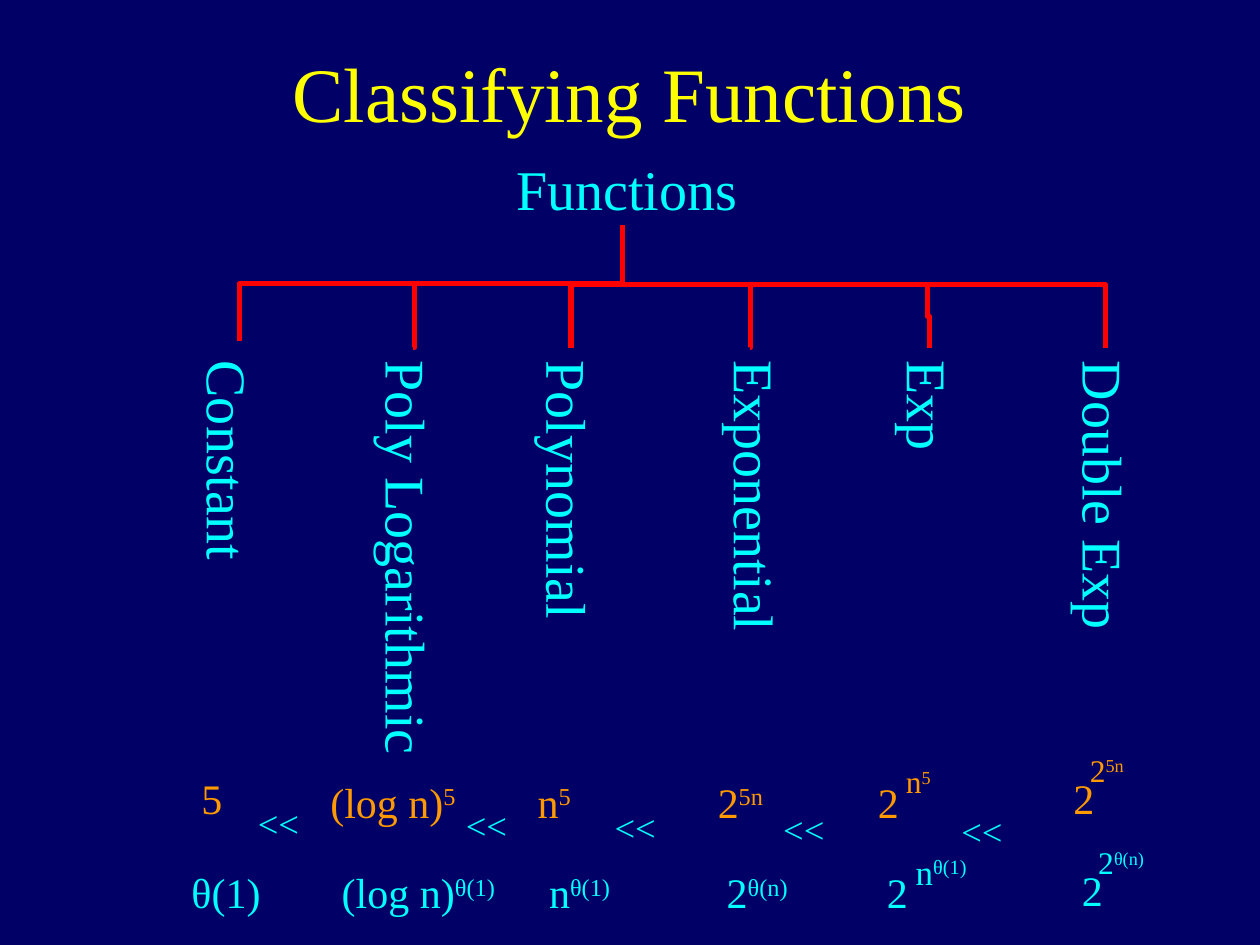
"""Build a slide that sorts functions by their rate of growth."""
from lxml import etree
from pptx import Presentation
from pptx.dml.color import RGBColor
from pptx.enum.shapes import MSO_CONNECTOR
from pptx.enum.text import MSO_ANCHOR, MSO_AUTO_SIZE, PP_ALIGN
from pptx.oxml.ns import qn
from pptx.util import Cm, Pt

ELBOW = MSO_CONNECTOR.ELBOW
MIDDLE = MSO_ANCHOR.MIDDLE
GROW = MSO_AUTO_SIZE.SHAPE_TO_FIT_TEXT
LEFT, CENTER = PP_ALIGN.LEFT, PP_ALIGN.CENTER

NAVY = RGBColor(0x00, 0x00, 0x66)
YELLOW = RGBColor(0xFF, 0xFF, 0x00)
CYAN = RGBColor(0x00, 0xFF, 0xFF)
ORANGE = RGBColor(0xFF, 0x99, 0x00)
RED = RGBColor(0xFF, 0x00, 0x00)

HEIGHTS = {18: 1.02, 20: 1.12, 24: 1.27, 32: 1.63, 36: 1.78}
TOP = 7.02
BAR = 5.74

CLASSES = [
    ("Poly Logarithmic", 8.21, 8.55),
    ("Polynomial", 11.45, 5.8),
    ("Exponential", 15.23, 6.05),
    ("Exp", 18.72, 2.4),
    ("Double Exp", 22.26, 6.05),
    ("Constant", 4.61, 5),
]

LINKS = [
    ((9.86, 9.58), (7.52, 1.85), 90, "bentConnector3"),
    ((11.51, BAR), (22.28, 7.01), 0, "bentConnector2"),
    ((8.33, 7.01), (8.35, BAR), 0, "bentConnector2"),
    ((11.51, 7.01), (11.51, BAR), 180, "bentConnector2"),
    ((15.11, 7.01), (15.13, BAR), 0, "bentConnector2"),
    ((18.08, 6.4), (19.35, 6.35), 270, "bentConnector3"),
]

SAMPLES = [
    ("(log n)", "5", 6.41, 15.52, 3.15, 24),
    ("n", "5", 10.59, 15.52, 1.25, 24),
    ("2", "5n", 14.22, 15.52, 1.5, 24),
    ("5", "", 3.81, 15.44, 1, 24),
    ("2", "", 17.45, 15.52, 1, 24),
    ("n", "5", 18.01, 15.24, 1.1, 18),
    ("2", "5n", 21.72, 15.01, 1.3, 18),
    ("2", "", 21.39, 15.44, 1, 24),
]

BOUNDS = [
    ("(log n)", "θ(1)", 6.64, 17.35, 3.7, 24),
    ("n", "θ(1)", 10.82, 17.35, 1.85, 24),
    ("2", "θ(n)", 14.4, 17.35, 1.85, 24),
    ("θ(1)", "", 3.61, 17.35, 2, 24),
    ("2", "", 17.63, 17.35, 1, 24),
    ("n", "θ(1)", 18.21, 17.02, 1.65, 20),
    ("2", "θ(n)", 21.89, 16.87, 1.55, 18),
    ("2", "", 21.56, 17.3, 1, 24),
]

SIGNS = [4.95, 9.14, 12.14, 15.54, 19.13]


def write(line, text, *, font, size, color, raised=False):
    """Add a run of text to a paragraph."""
    run = line.add_run()
    run.text = text
    run.font.name = font
    run.font.size = Pt(size)
    run.font.color.rgb = color
    if raised:
        run.font._element.set("baseline", "30000")


class Deck:
    """Hold the style and the current slide."""

    def __init__(self, show, font):
        self.font = font
        self.slide = show.slides.add_slide(show.slide_layouts[6])
        fill = self.slide.background.fill
        fill.solid()
        fill.fore_color.rgb = NAVY

    def box(self, left, top, width, height, align=LEFT):
        """Add an empty text box that does not wrap."""
        box = self.slide.shapes.add_textbox(Cm(left), Cm(top), Cm(width), Cm(height))
        box.text_frame.word_wrap = False
        box.text_frame.paragraphs[0].alignment = align
        return box

    def title(self, text):
        """Add the centred heading."""
        frame = self.box(1.9, 0.25, 21.59, 3.18, CENTER).text_frame
        frame.word_wrap = True
        frame.vertical_anchor = MIDDLE
        write(frame.paragraphs[0], text, font=self.font, size=44, color=YELLOW)

    def term(self, base, power, left, top, width, size, color, raised=False):
        """Add a term with an optional exponent."""
        box = self.box(left, top, width, HEIGHTS[size])
        box.text_frame.auto_size = GROW
        line = box.text_frame.paragraphs[0]
        style = {"font": self.font, "size": size, "color": color}
        write(line, base, raised=raised, **style)
        if power:
            write(line, power, raised=True, **style)
        return box

    def label(self, text, mid, length):
        """Add a class name that reads downwards."""
        left = mid - length / 2
        top = TOP + (length - HEIGHTS[32]) / 2
        self.term(text, "", left, top, length, 32, CYAN).rotation = 90

    def link(self, start, end, turn, shape):
        """Add a bent line, turned by the given degrees."""
        line = self.slide.shapes.add_connector(ELBOW, *map(Cm, start + end))
        line.line.color.rgb = RED
        line.line.width = Pt(3)
        props = line._element.spPr
        props.find(qn("a:prstGeom")).set("prst", shape)
        props.find(qn("a:xfrm")).set("rot", str(turn * 60000))
        etree.SubElement(props, qn("a:effectLst"))


def main():
    """Build and save the slide."""
    show = Presentation()
    show.slide_width, show.slide_height = Cm(25.4), Cm(19.05)
    deck = Deck(show, "Times New Roman")
    deck.title("Classifying Functions")
    deck.term("Functions", "", 10.16, 3, 5.05, 32, CYAN)
    for item in CLASSES:
        deck.label(*item)
    for item in LINKS:
        deck.link(*item)
    for item in SAMPLES:
        deck.term(*item, ORANGE)
    for step, left in enumerate(SIGNS):
        deck.term("<<", "", left, 15.88 + 0.04 * step, 1.42, 36, CYAN, raised=True)
    for item in BOUNDS:
        deck.term(*item, CYAN)
    show.save("out.pptx")


if __name__ == "__main__":
    main()
